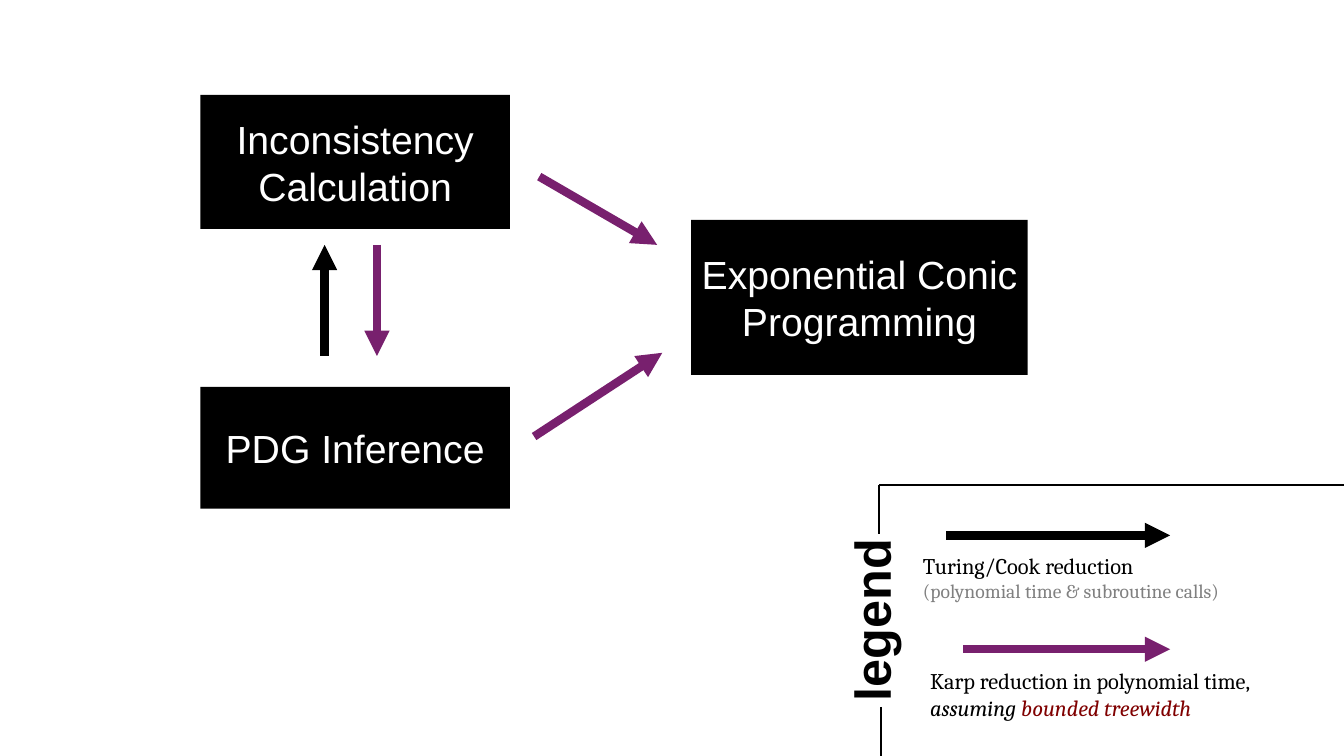
import pptx
import pptx.dml.color
import pptx.enum.shapes
import pptx.enum.text
import pptx.oxml.ns
import pptx.util
from lxml import etree

Cm = pptx.util.Cm
Pt = pptx.util.Pt
qn = pptx.oxml.ns.qn
CENTER = pptx.enum.text.PP_ALIGN.CENTER
LEFT = pptx.enum.text.PP_ALIGN.LEFT

BLACK = "000000"
WHITE = "FFFFFF"
PURPLE = "78206E"
GRAY = "808080"
MAROON = "800000"


def color(value):
    return pptx.dml.color.RGBColor.from_string(value)


class ReductionSlide:
    heading_font = "Arial"
    legend_font = "Cambria"

    def __init__(self, deck):
        self.page = deck.slides.add_slide(deck.slide_layouts[6])

    def add_span(self, para, text, size, font, ink, bold=False, italic=False):
        span = para.add_run()
        span.text = text
        span.font.size = Pt(size)
        span.font.name = font
        span.font.bold = bold
        span.font.italic = italic
        span.font.color.rgb = color(ink)

    def problem(self, text, left, top, width, height):
        box = self.page.shapes.add_shape(
            pptx.enum.shapes.MSO_SHAPE.RECTANGLE,
            Cm(left), Cm(top), Cm(width), Cm(height))
        box.shadow.inherit = False
        box.fill.solid()
        box.fill.fore_color.rgb = color(BLACK)
        box.line.fill.background()
        frame = box.text_frame
        frame.word_wrap = True
        frame.vertical_anchor = pptx.enum.text.MSO_ANCHOR.MIDDLE
        para = frame.paragraphs[0]
        para.alignment = CENTER
        self.add_span(para, text, 28, self.heading_font, WHITE)

    def line(self, start, end, ink=BLACK, weight=1.5):
        link = self.page.shapes.add_connector(
            pptx.enum.shapes.MSO_CONNECTOR.STRAIGHT,
            Cm(start[0]), Cm(start[1]), Cm(end[0]), Cm(end[1]))
        link.line.width = Pt(weight)
        link.line.color.rgb = color(ink)
        etree.SubElement(link._element.spPr, qn("a:effectLst"))
        return link

    def arrow(self, start, end, ink):
        link = self.line(start, end, ink, 6)
        outline = link._element.spPr.find(qn("a:ln"))
        etree.SubElement(outline, qn("a:tailEnd"), type="triangle")

    def text(self, left, top, width, height, paragraphs, align=LEFT):
        box = self.page.shapes.add_textbox(
            Cm(left), Cm(top), Cm(width), Cm(height))
        frame = box.text_frame
        frame.word_wrap = True
        frame.auto_size = pptx.enum.text.MSO_AUTO_SIZE.SHAPE_TO_FIT_TEXT
        for index, spans in enumerate(paragraphs):
            para = frame.add_paragraph() if index else frame.paragraphs[0]
            para.alignment = align
            for span in spans:
                self.add_span(para, *span)
        return box

    def upward_title(self, text, left, top, width, height):
        span = (text, 36, self.heading_font, BLACK, True)
        box = self.text(left, top, width, height, [[span]], CENTER)
        box._element.txBody.find(qn("a:bodyPr")).set("vert", "vert270")


def main():
    deck = pptx.Presentation()
    deck.slide_width = Cm(33.87)
    deck.slide_height = Cm(19.05)
    slide = ReductionSlide(deck)
    serif = slide.legend_font

    slide.problem("PDG Inference", 5.05, 9.75, 7.8, 3.07)
    slide.problem("Inconsistency Calculation", 5.05, 2.39, 7.8, 3.38)
    slide.problem("Exponential Conic Programming", 17.42, 5.54, 8.48, 3.91)

    for start, end, ink in [
        ((13.59, 4.45), (16.56, 6.17), PURPLE),
        ((9.5, 6.17), (9.5, 8.97), PURPLE),
        ((8.18, 8.97), (8.18, 6.17), BLACK),
        ((13.46, 11), (16.69, 8.89), PURPLE),
        ((24.28, 16.36), (29.49, 16.36), PURPLE),
        ((23.85, 13.49), (29.49, 13.49), BLACK),
    ]:
        slide.arrow(start, end, ink)

    slide.text(23.01, 13.79, 10.85, 1.55, [
        [("Turing/Cook reduction", 16, serif, BLACK)],
        [("(polynomial time & subroutine calls)", 14, serif, GRAY)],
    ])
    slide.text(23.19, 16.69, 10.49, 1.63, [[
        ("Karp reduction in polynomial time, ", 16, serif, BLACK),
        ("assuming ", 16, serif, BLACK, False, True),
        ("bounded treewidth", 16, serif, MAROON, False, True),
    ]])
    slide.upward_title("legend", 21.06, 13, 2.06, 5.26)

    slide.line((22.2, 17.81), (22.2, 19.05))
    slide.line((22.15, 12.22), (22.15, 13.46))
    slide.line((33.87, 12.22), (22.15, 12.22))

    deck.save("out.pptx")


if __name__ == "__main__":
    main()
